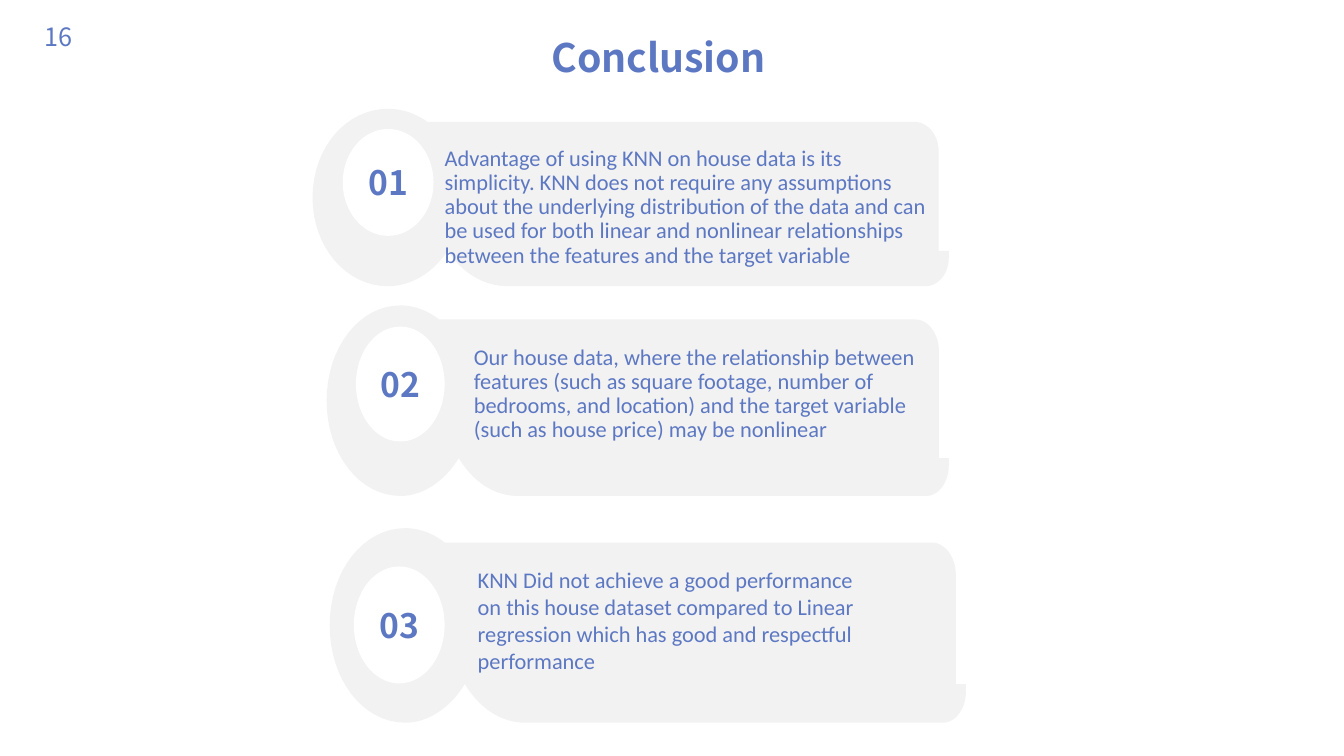
"""Build the conclusion slide with three numbered banners."""
import dataclasses

import pptx
import pptx.dml.color
import pptx.enum.shapes
import pptx.enum.text
import pptx.util

EMU_PER_PX = 9144
CURVE_STEPS = 16
BANNER_WIDTH, BANNER_HEIGHT = 631, 176
BANNER_START = (75, 0)
BANNER_SEGMENTS = [
    [(33, 0), (0, 39), (0, 88)],
    [(0, 137), (33, 176), (75, 176)],
    [(98, 176), (120, 162), (134, 141)],
    [(148, 162), (169, 176), (194, 176)],
    [(608, 176)],
    [(621, 176), (631, 163), (631, 148)],
    [(631, 141)],
    [(621, 141)],
    [(621, 42)],
    [(621, 26), (610, 13), (597, 13)],
    [(114, 13)],
    [(103, 5), (89, 0), (75, 0)],
]


@dataclasses.dataclass(frozen=True)
class Theme:
    text: str = "5D78C3"
    banner: str = "F2F2F2"
    disc: str = "FFFFFF"
    heading_font: str = "Noto Sans CJK SC"
    body_font: str = "Calibri"
    title_size: int = 28
    number_size: int = 24
    page_size: int = 18
    body_size: int = 16


def px(length):
    return pptx.util.Emu(round(length * EMU_PER_PX))


def banner_points():
    points = [BANNER_START]
    for segment in BANNER_SEGMENTS:
        if len(segment) == 1:
            points += segment
            continue
        corners = [points[-1], *segment]
        for step in range(1, CURVE_STEPS + 1):
            t = step / CURVE_STEPS
            weights = ((1 - t) ** 3, 3 * t * (1 - t) ** 2, 3 * t * t * (1 - t), t ** 3)
            points.append(tuple(
                sum(weight * corner[axis] for weight, corner in zip(weights, corners))
                for axis in (0, 1)
            ))
    return points


class SlideBuilder:
    def __init__(self, slide, theme):
        self.slide = slide
        self.theme = theme

    def fill(self, shape, color):
        shape.shadow.inherit = False
        shape.fill.solid()
        shape.fill.fore_color.rgb = pptx.dml.color.RGBColor.from_string(color)
        shape.line.fill.background()

    def label(self, shape, text, font, size, bold=False, centred=False, inset=True):
        frame = shape.text_frame
        frame.word_wrap = True
        frame.text = text
        if not inset:
            frame.margin_left = frame.margin_right = 0
            frame.margin_top = frame.margin_bottom = 0
        paragraph = frame.paragraphs[0]
        if centred:
            frame.vertical_anchor = pptx.enum.text.MSO_ANCHOR.MIDDLE
            paragraph.alignment = pptx.enum.text.PP_ALIGN.CENTER
        run_font = paragraph.runs[0].font
        run_font.name = font
        run_font.size = pptx.util.Pt(size)
        run_font.bold = bold
        run_font.color.rgb = pptx.dml.color.RGBColor.from_string(self.theme.text)
        return paragraph

    def text(self, box, text, font, size, **style):
        shape = self.slide.shapes.add_textbox(*map(px, box))
        paragraph = self.label(shape, text, font, size, **style)
        shape.text_frame.auto_size = pptx.enum.text.MSO_AUTO_SIZE.SHAPE_TO_FIT_TEXT
        return paragraph

    def banner(self, box, disc_box, number):
        left, top, width, height = box
        group = self.slide.shapes.add_group_shape()
        start, *points = [
            (px(left + x * width / BANNER_WIDTH), px(top + y * height / BANNER_HEIGHT))
            for x, y in banner_points()
        ]
        outline = group.shapes.build_freeform(*start)
        outline.add_line_segments(points, close=True)
        self.fill(outline.convert_to_shape(), self.theme.banner)
        disc = group.shapes.add_shape(
            pptx.enum.shapes.MSO_SHAPE.OVAL, *map(px, disc_box))
        self.fill(disc, self.theme.disc)
        self.label(disc, number, self.theme.heading_font, self.theme.number_size,
                   bold=True, centred=True, inset=False)

    def body(self, box, text, compact):
        paragraph = self.text(box, text, self.theme.body_font, self.theme.body_size,
                              inset=not compact)
        if compact:
            paragraph.line_spacing = 0.9
            paragraph.space_after = pptx.util.Pt(10)


CONCLUSIONS = [
    ((310, 108, 631, 176), (340, 128, 90, 106), (441, 146, 488, 121), True,
     "Advantage of using KNN on house data is its simplicity. KNN does not require any "
     "assumptions about the underlying distribution of the data and can be used for both "
     "linear and nonlinear relationships between the features and the target variable"),
    ((324, 303, 617, 189), (353, 324, 88, 114), (470, 343, 472, 97), True,
     "Our house data, where the relationship between features (such as square footage, "
     "number of bedrooms, and location) and the target variable (such as house price) "
     "may be nonlinear"),
    ((327, 524, 631, 193), (351, 562, 90, 116), (464, 557, 420, 118), False,
     "KNN Did not achieve a good performance on this house dataset compared to Linear "
     "regression which has good and respectful performance"),
]


def main():
    presentation = pptx.Presentation()
    presentation.slide_width = px(1333)
    presentation.slide_height = px(750)
    slide = presentation.slides.add_slide(presentation.slide_layouts[6])
    theme = Theme()
    builder = SlideBuilder(slide, theme)
    builder.text((34, 16, 81, 40), "16", theme.heading_font, theme.page_size)
    title = builder.text((545, 33, 216, 47), "Conclusion", theme.heading_font,
                         theme.title_size, bold=True, centred=True, inset=False)
    title.space_after = pptx.util.Pt(12)
    for index, (box, disc_box, text_box, compact, text) in enumerate(CONCLUSIONS, start=1):
        builder.banner(box, disc_box, f"{index:02d}")
        builder.body(text_box, text, compact)
    presentation.save("out.pptx")


if __name__ == "__main__":
    main()
